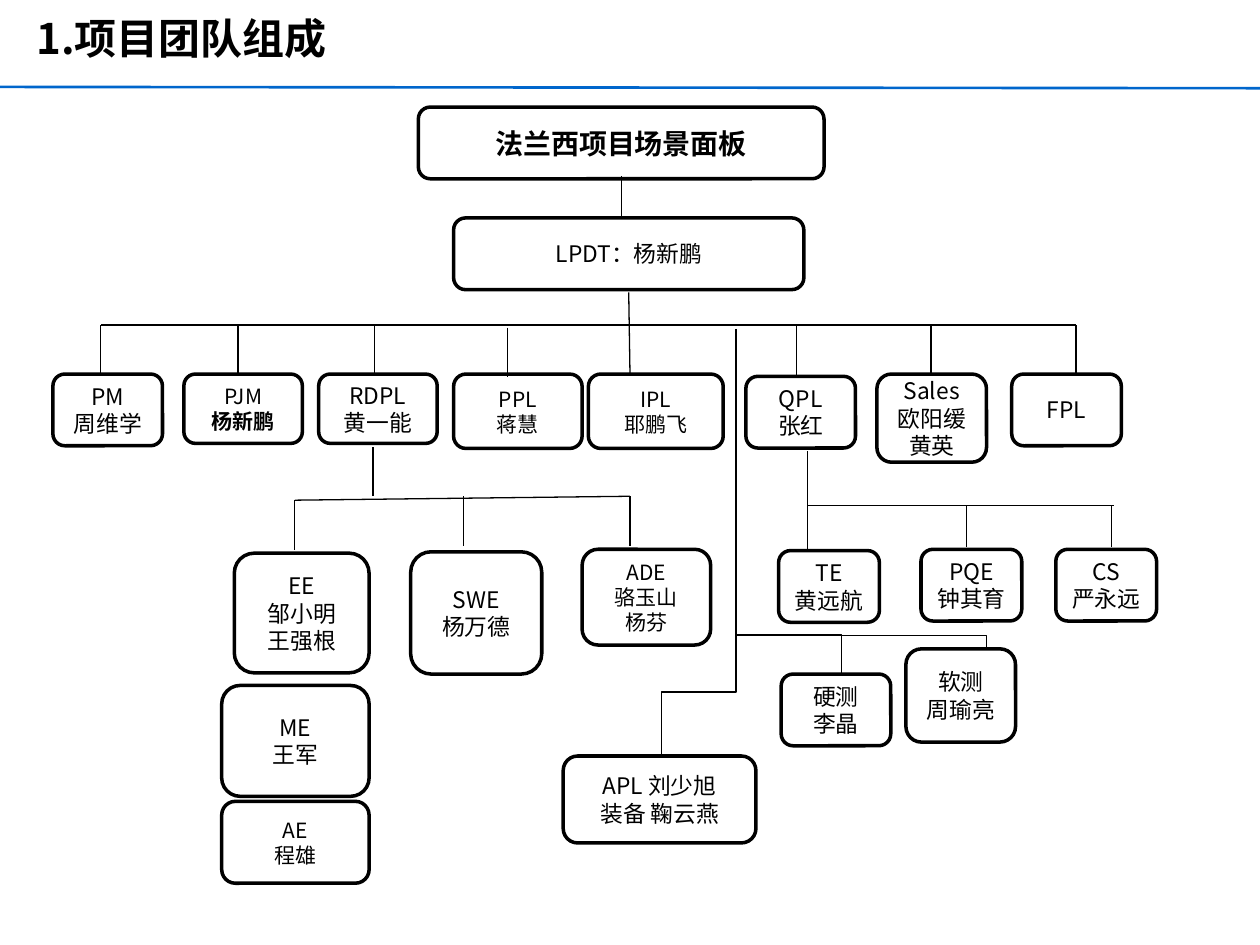
import pptx
import pptx.util
import pptx.dml.color
import pptx.enum.shapes
import pptx.enum.text
import pptx.oxml
import pptx.oxml.ns
from lxml import etree

Pt = pptx.util.Pt
SHAPES = pptx.enum.shapes
TEXT = pptx.enum.text
qn = pptx.oxml.ns.qn
FONT = "Noto Sans CJK SC"
BLACK = "000000"
BOX_HEIGHT = 41


def color(hex_value):
    return pptx.dml.color.RGBColor.from_string(hex_value)


def write_text(paragraph, text, size=13, bold=False, align=TEXT.PP_ALIGN.CENTER):
    paragraph.alignment = align
    run = paragraph.add_run()
    run.text = text
    run.font.size = Pt(size)
    run.font.bold = bold
    run.font.color.rgb = color(BLACK)
    run.font.name = FONT
    east_asian = etree.SubElement(run.font._element, qn("a:ea"))
    east_asian.set("typeface", FONT)


def add_box(slide, left, top, width, height, lines, size=13, bold_lines=()):
    shape = slide.shapes.add_shape(
        SHAPES.MSO_SHAPE.ROUNDED_RECTANGLE, Pt(left), Pt(top), Pt(width), Pt(height))
    shape.shadow.inherit = False
    shape.fill.solid()
    shape.fill.fore_color.rgb = color("FFFFFF")
    shape.line.color.rgb = color(BLACK)
    shape.line.width = Pt(2)
    frame = shape.text_frame
    frame.word_wrap = True
    frame.vertical_anchor = TEXT.MSO_ANCHOR.MIDDLE
    for index, line in enumerate(lines):
        paragraph = frame.add_paragraph() if index else frame.paragraphs[0]
        write_text(paragraph, line, size=size, bold=line in bold_lines)


def add_line(slide, x1, y1, x2, y2, kind="STRAIGHT", line_color=BLACK, weight=0.75):
    connector = slide.shapes.add_connector(
        SHAPES.MSO_CONNECTOR[kind], Pt(x1), Pt(y1), Pt(x2), Pt(y2))
    connector.line.color.rgb = color(line_color)
    connector.line.width = Pt(weight)
    etree.SubElement(connector._element.spPr, qn("a:effectLst"))
    return connector


def add_vertical_elbow(slide, x1, y1, x2, y2, bend):
    connector = add_line(slide, x1, y1, x2, y2, kind="ELBOW")
    length, breadth = y2 - y1, abs(x2 - x1)
    connector.left = Pt((x1 + x2 - length) / 2)
    connector.top = Pt((y1 + y2 - breadth) / 2)
    connector.width, connector.height = Pt(length), Pt(breadth)
    properties = connector._element.spPr
    transform = properties.find(qn("a:xfrm"))
    transform.attrib.pop("flipH", None)
    transform.set("rot", "5400000" if x2 < x1 else "16200000")
    if x2 > x1:
        transform.set("flipH", "1")
    geometry = properties.find(qn("a:prstGeom"))
    guides = geometry.find(qn("a:avLst"))
    if guides is None:
        guides = etree.SubElement(geometry, qn("a:avLst"))
    guide = etree.SubElement(guides, qn("a:gd"))
    guide.set("name", "adj1")
    guide.set("fmla", f"val {round((bend - y1) / length * 100000)}")


def add_header(slide, left, top, width):
    add_line(slide, left, top + 49.68, left + width, top + 50.4,
             line_color="0066CC", weight=1.5)
    title = slide.shapes.add_textbox(Pt(left + 13.68), Pt(top + 3.6), Pt(362.88), Pt(36.72))
    title.text_frame.word_wrap = True
    title.text_frame.auto_size = TEXT.MSO_AUTO_SIZE.SHAPE_TO_FIT_TEXT
    write_text(title.text_frame.paragraphs[0], "1.项目团队组成",
               size=24, bold=True, align=TEXT.PP_ALIGN.LEFT)


def add_top_levels(slide, left, top):
    panel = "法兰西项目场景面板"
    add_box(slide, left, top, 231.84, BOX_HEIGHT, [panel], size=16, bold_lines=[panel])
    add_box(slide, left + 20.16, top + 63.36, 200.16, BOX_HEIGHT, ["LPDT：杨新鹏"])
    add_line(slide, left + 116, top + 39.6, left + 116, top + 63.36)
    add_line(slide, left + 120.24, top + 105.84, left + 120.96, top + 152.64)


def add_leads(slide, left, top):
    leads = [
        (0, 28, 62.64, BOX_HEIGHT, ["PM", "周维学"], 13),
        (74.88, 28, 67.68, 39.6, ["PJM", "杨新鹏"], 12),
        (151.92, 28, 67.68, 39.6, ["RDPL", "黄一能"], 13),
        (228.96, 28, 73.44, 42.48, ["PPL", "蒋慧"], 12),
        (306, 28, 77.04, 42.48, ["IPL", "耶鹏飞"], 12),
        (396, 29.3, 62.64, BOX_HEIGHT, ["QPL", "张红"], 13),
        (470.88, 28, 62.64, 50.4, ["Sales", "欧阳缓", "黄英"], 13),
        (547.92, 28, 62.64, BOX_HEIGHT, ["FPL"], 13),
    ]
    for x, y, width, height, lines, size in leads:
        bold_lines = lines[1:] if lines[0] == "PJM" else []
        add_box(slide, left + x, top + y, width, height, lines, size, bold_lines)
    add_line(slide, left + 27.36, top, left + 584.64, top)
    drops = [(27.36, 0), (105.84, 0), (183.6, 0), (259.92, 1.5),
             (424.8, 0.7), (501.84, 0), (584.64, 0)]
    for x, y in drops:
        add_line(slide, left + x, top + y, left + x, top + y + 28)


def add_development_team(slide, left, top):
    add_line(slide, left + 86.4, top, left + 86.4, top + 28)
    add_line(slide, left + 41.76, top + 30.24, left + 233.28, top + 28)
    for x, y in [(41.76, 30.24), (138.24, 28), (233.28, 28)]:
        add_line(slide, left + x, top + y, left + x, top + y + 28.5)
    for x, y, width, height, lines, size in [
        (7.2, 60.48, 77.04, 68.4, ["EE", "邹小明", "王强根"], 13),
        (108, 59.76, 74.88, 69.84, ["SWE", "杨万德"], 13),
        (205.92, 58.32, 73.44, 54.72, ["ADE", "骆玉山", "杨芬"], 12),
        (0, 136.08, 84.24, 63.36, ["ME", "王军"], 13),
        (0, 202.32, 84.24, 46.8, ["AE", "程雄"], 12),
    ]:
        add_box(slide, left + x, top + y, width, height, lines, size)


def add_quality_team(slide, left, top):
    add_line(slide, left + 16.56, top, left + 16.56, top + 56.16)
    add_line(slide, left + 16.56, top + 31, left + 191.52, top + 31)
    for x in (107.28, 190.08):
        add_line(slide, left + x, top + 31, left + x, top + 54.72)
    for x, y, lines in [(0, 56.88, ["TE", "黄远航"]),
                        (81.36, 56.16, ["PQE", "钟其育"]),
                        (158.4, 56.16, ["CS", "严永远"])]:
        add_box(slide, left + x, top + y, 57.6, BOX_HEIGHT, lines)


def add_test_team(slide, left, top):
    trunk = left + 99
    for start_x, start_y, end_x, end_y, bend in [
        (trunk - 0.36, top, left + 56.16, top + 244.08, 207.36),
        (trunk, top + 2, left + 159.12, top + 197.8, 174.5),
        (trunk, top + 2, left + 241.92, top + 200.7, 175.3),
    ]:
        add_vertical_elbow(slide, start_x, start_y, end_x, end_y, top + bend)
    for x, y, width, height, lines in [
        (0, 244.08, 110.16, 49.68, ["APL 刘少旭", "装备 鞠云燕"]),
        (124.56, 197.28, 62.64, BOX_HEIGHT, ["硬测", "李晶"]),
        (195.84, 182.88, 62.64, 53.28, ["软测", "周瑜亮"]),
    ]:
        add_box(slide, left + x, top + y, width, height, lines)


def main():
    presentation = pptx.Presentation()
    presentation.slide_width, presentation.slide_height = Pt(720), Pt(540)
    slide = presentation.slides.add_slide(presentation.slide_layouts[6])
    add_header(slide, 0, 0, 720)
    add_top_levels(slide, 239.04, 61.2)
    add_leads(slide, 30.24, 185.76)
    add_development_team(slide, 126.72, 255.6)
    add_quality_team(slide, 444.96, 257.76)
    add_test_team(slide, 321.84, 187.92)
    presentation.save("out.pptx")


if __name__ == "__main__":
    main()
